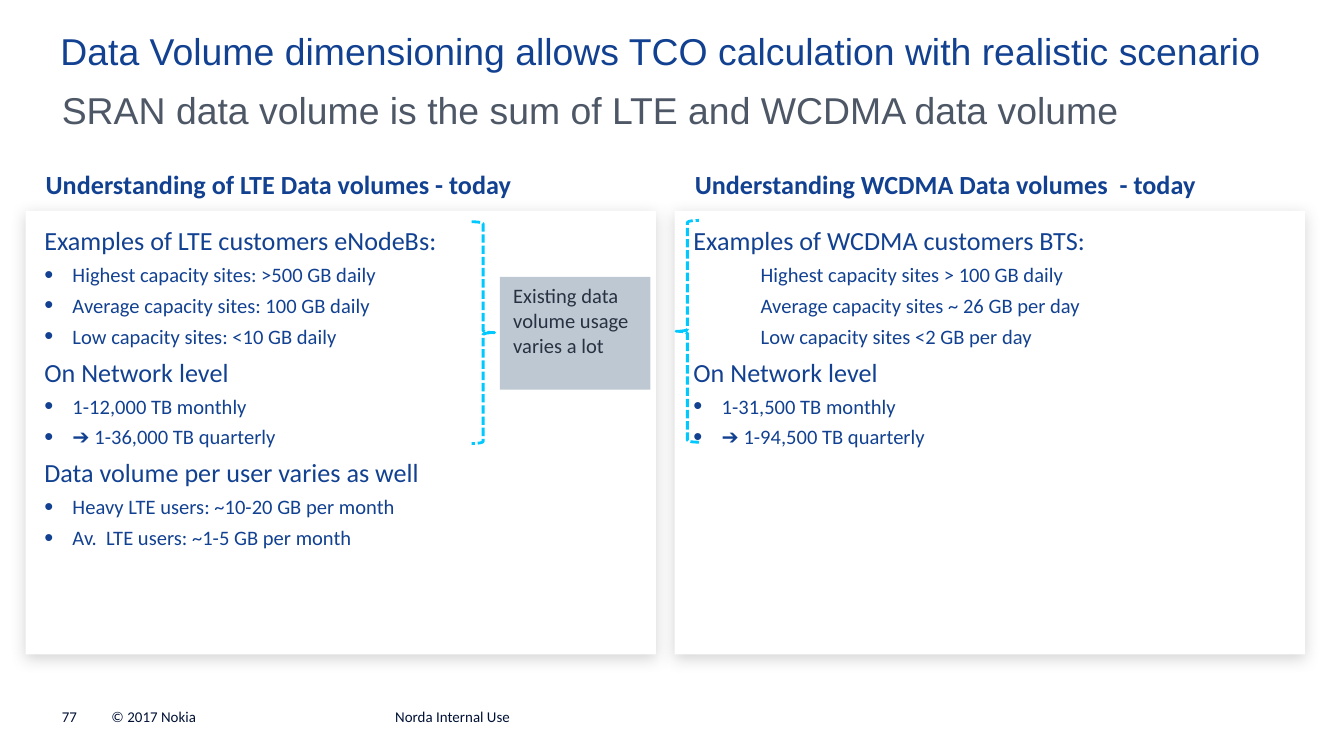
from dataclasses import dataclass

from lxml import etree
from pptx import Presentation
from pptx.dml.color import RGBColor
from pptx.enum import dml, shapes, text
from pptx.oxml import ns
from pptx.util import Inches, Pt


@dataclass(frozen=True)
class Theme:
    title_font: str = "Arial"
    body_font: str = "Calibri"
    blue: str = "124191"
    grey: str = "4D5766"
    navy: str = "001135"
    dark: str = "273142"
    note_fill: str = "BEC8D2"
    cyan: str = "00C9FF"
    white: str = "FFFFFF"
    shadow: str = "808080"
    title: int = 20
    heading: int = 14
    item: int = 11
    footer: int = 8


theme = Theme()


def add_run(paragraph, words, size, color, font=theme.body_font, bold=False):
    run = paragraph.add_run()
    run.text = words
    run.font.name = font
    run.font.size = Pt(size)
    run.font.bold = bold
    run.font.color.rgb = RGBColor.from_string(color)


def add_frame(left, top, width, height, anchor=text.MSO_ANCHOR.TOP):
    """Add a wrapping text box without insets and return its text frame."""
    frame = slide.shapes.add_textbox(
        Inches(left), Inches(top), Inches(width), Inches(height)).text_frame
    frame.word_wrap = True
    frame.vertical_anchor = anchor
    frame.margin_left = frame.margin_right = 0
    frame.margin_top = frame.margin_bottom = 0
    return frame


deck = Presentation()
deck.slide_width, deck.slide_height = Inches(10), Inches(10 * 9 / 16)
slide = deck.slides.add_slide(deck.slide_layouts[6])

# Title and subtitle
for words, left, top, color in [
    ("Data Volume dimensioning allows TCO calculation with realistic scenario",
     0.45, 0.21, theme.blue),
    ("SRAN data volume is the sum of LTE and WCDMA data volume",
     0.46, 0.65, theme.grey),
]:
    title = add_frame(left, top, 9.09, 0.34)
    add_run(title.paragraphs[0], words, theme.title, color, theme.title_font)

# Panels: left edge, heading, text height, sections (topic, bulleted, items)
panels = [
    (5.02, "Understanding WCDMA Data volumes  - today", 1.75, [
        ("Examples of WCDMA customers BTS:", False,
         ["Highest capacity sites > 100 GB daily",
          "Average capacity sites ~ 26 GB per day",
          "Low capacity sites <2 GB per day"]),
        ("On Network level", True,
         ["1-31,500 TB monthly", "➔ 1-94,500 TB quarterly"]),
    ]),
    (0.19, "Understanding of LTE Data volumes - today", 2.53, [
        ("Examples of LTE customers eNodeBs:", True,
         ["Highest capacity sites: >500 GB daily",
          "Average capacity sites: 100 GB daily",
          "Low capacity sites: <10 GB daily"]),
        ("On Network level", True,
         ["1-12,000 TB monthly", "➔ 1-36,000 TB quarterly"]),
        ("Data volume per user varies as well", True,
         ["Heavy LTE users: ~10-20 GB per month",
          "Av.  LTE users: ~1-5 GB per month"]),
    ]),
]

for left, heading, height, sections in panels:
    card = slide.shapes.add_shape(
        shapes.MSO_SHAPE.RECTANGLE,
        Inches(left), Inches(1.57), Inches(4.69), Inches(3.3))
    card.fill.solid()
    card.fill.fore_color.rgb = RGBColor.from_string(theme.white)
    card.line.fill.background()
    card.shadow.inherit = False
    effects = card._element.spPr.find(ns.qn("a:effectLst"))
    glow = etree.SubElement(effects, ns.qn("a:outerShdw"), blurRad=str(Pt(8)),
                            dist=str(Pt(2)), dir="5400000", rotWithShape="0")
    tint = etree.SubElement(glow, ns.qn("a:srgbClr"), val=theme.shadow)
    etree.SubElement(tint, ns.qn("a:alpha"), val="33000")

    heading_frame = add_frame(left + 0.15, 1.25, 4.5, 0.24)
    add_run(heading_frame.paragraphs[0], heading, theme.heading, theme.blue, bold=True)

    body = add_frame(left + 0.14, 1.67, 4.5, height)
    for index, (topic, bulleted, items) in enumerate(sections):
        if index == 0:
            topic_line = body.paragraphs[0]
        else:
            topic_line = body.add_paragraph()
            topic_line.space_before = Pt(0.3 * theme.heading)
        add_run(topic_line, topic, theme.heading, theme.blue)

        for item in items:
            item_line = body.add_paragraph()
            item_line.space_before = Pt(0.3 * theme.item)
            props = item_line._p.get_or_add_pPr()
            if bulleted:
                props.set("marL", str(Inches(0.21)))
                props.set("indent", str(Inches(-0.21)))
                bullet_color = etree.SubElement(props, ns.qn("a:buClr"))
                etree.SubElement(bullet_color, ns.qn("a:srgbClr"), val=theme.blue)
                etree.SubElement(props, ns.qn("a:buSzPct"), val="125000")
                etree.SubElement(props, ns.qn("a:buFont"), typeface="Arial")
                etree.SubElement(props, ns.qn("a:buChar"), char="•")
            else:
                props.set("marL", str(Inches(0.5)))
            add_run(item_line, item, theme.item, theme.blue)

# Note between the two braces
note = slide.shapes.add_shape(
    shapes.MSO_SHAPE.RECTANGLE,
    Inches(3.72), Inches(2.06), Inches(1.12), Inches(0.84))
note.fill.solid()
note.fill.fore_color.rgb = RGBColor.from_string(theme.note_fill)
note.line.fill.background()
note.shadow.inherit = False
note.text_frame.word_wrap = True
note.text_frame.vertical_anchor = text.MSO_ANCHOR.TOP
note_line = note.text_frame.paragraphs[0]
note_line.alignment = text.PP_ALIGN.LEFT
add_run(note_line, "Existing data volume usage varies a lot", theme.item, theme.dark)

for preset, left, top in [
    (shapes.MSO_SHAPE.LEFT_BRACE, 5.03, 1.64),
    (shapes.MSO_SHAPE.RIGHT_BRACE, 3.51, 1.65),
]:
    brace = slide.shapes.add_shape(
        preset, Inches(left), Inches(top), Inches(0.17), Inches(1.65))
    brace.fill.background()
    brace.line.color.rgb = RGBColor.from_string(theme.cyan)
    brace.line.width = Pt(1.5)
    brace.line.dash_style = dml.MSO_LINE.SQUARE_DOT
    brace.shadow.inherit = False

# Footer
for words, left, width in [
    ("77", 0.46, 0.28),
    ("© 2017 Nokia", 0.83, 1.97),
    ("Norda Internal Use", 2.94, 2.82),
]:
    footer = add_frame(left, 5.27, width, 0.13, text.MSO_ANCHOR.BOTTOM)
    add_run(footer.paragraphs[0], words, theme.footer, theme.navy)

deck.save("out.pptx")
